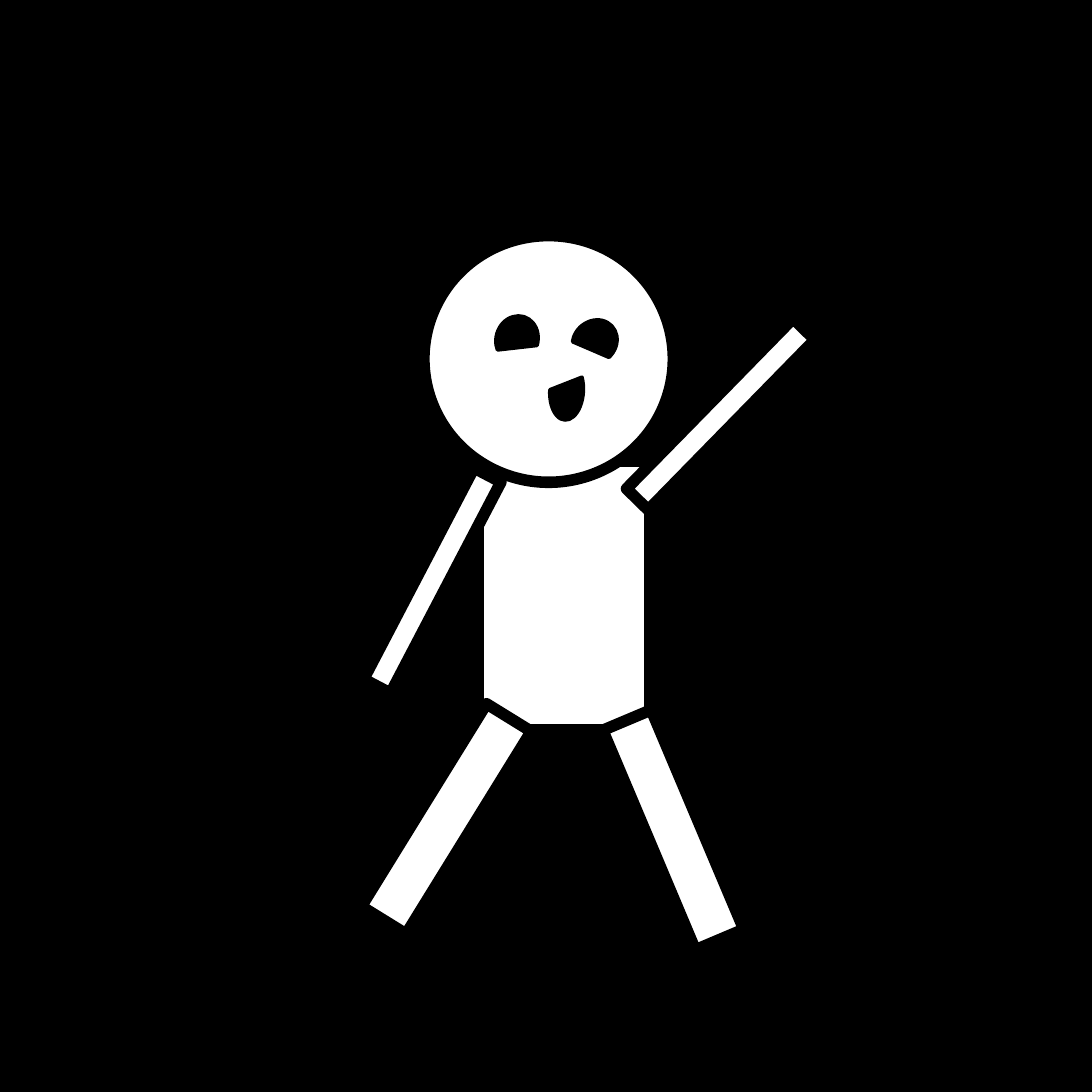
from pptx import Presentation
from pptx import util as u
from pptx.dml.color import RGBColor
from pptx.enum import shapes

BLACK = RGBColor(0x00, 0x00, 0x00)
WHITE = RGBColor(0xFF, 0xFF, 0xFF)
GRID = 394  # columns and rows on the square slide
CELL = u.Inches(0.01)
RECT = shapes.MSO_SHAPE.RECTANGLE
OVAL = shapes.MSO_SHAPE.OVAL
CHORD = shapes.MSO_SHAPE.CHORD
EYE = (17, 15)
MOUTH = (21, 12)
ARM = (86, 11)
LEG = (86, 19)


def add_part(s, kind, at, size, fill, line_width, angle=0):
    """Add a black-outlined shape; at (left, top) and size are in grid cells."""
    sp = s.shapes.add_shape(kind, *(n * CELL for n in at + size))
    sp.shadow.inherit = False
    sp.rotation = angle
    sp.fill.solid()
    sp.fill.fore_color.rgb = fill
    sp.line.color.rgb = BLACK
    sp.line.width = u.Pt(line_width)


def add_feature(s, at, size, angle):
    add_part(s, CHORD, at, size, BLACK, 1, angle)


def add_limb(s, at, size, angle):
    add_part(s, RECT, at, size, WHITE, 3, angle)


def main():
    prs = Presentation()
    prs.slide_width = prs.slide_height = GRID * CELL
    s = prs.slides.add_slide(prs.slide_layouts[6])
    s.background.fill.solid()
    s.background.fill.fore_color.rgb = BLACK

    add_part(s, RECT, (174, 168), (59, 94), WHITE, 1)  # body
    add_part(s, OVAL, (153, 85), (90, 89), WHITE, 3)  # head
    add_feature(s, (178, 115), EYE, 106.7)
    add_feature(s, (206, 116), EYE, 136.4)
    add_limb(s, (217, 144), ARM, 134.4)
    add_limb(s, (113, 204), ARM, 297.6)
    add_limb(s, (200, 290), LEG, 67.1)
    add_limb(s, (118, 286), LEG, 121.7)
    add_feature(s, (194, 135), MOUTH, 273.4)

    prs.save("out.pptx")


if __name__ == "__main__":
    main()
